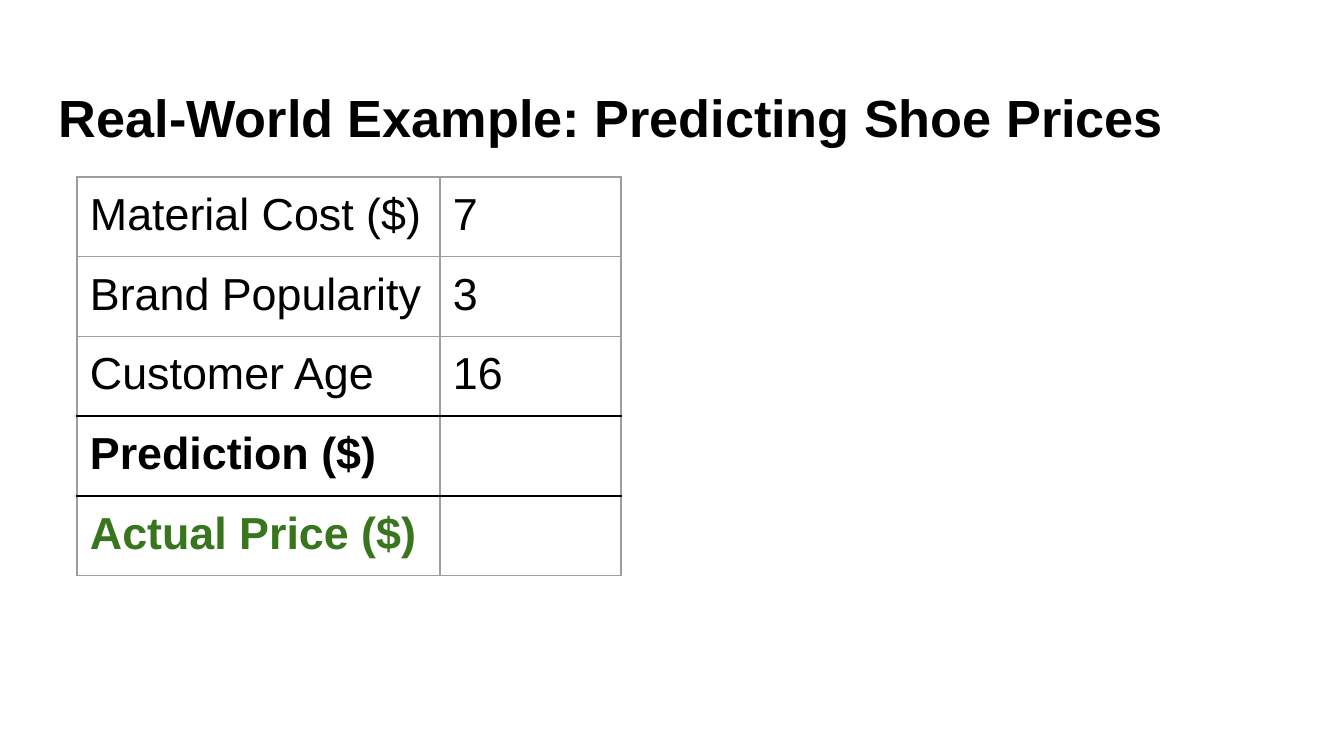
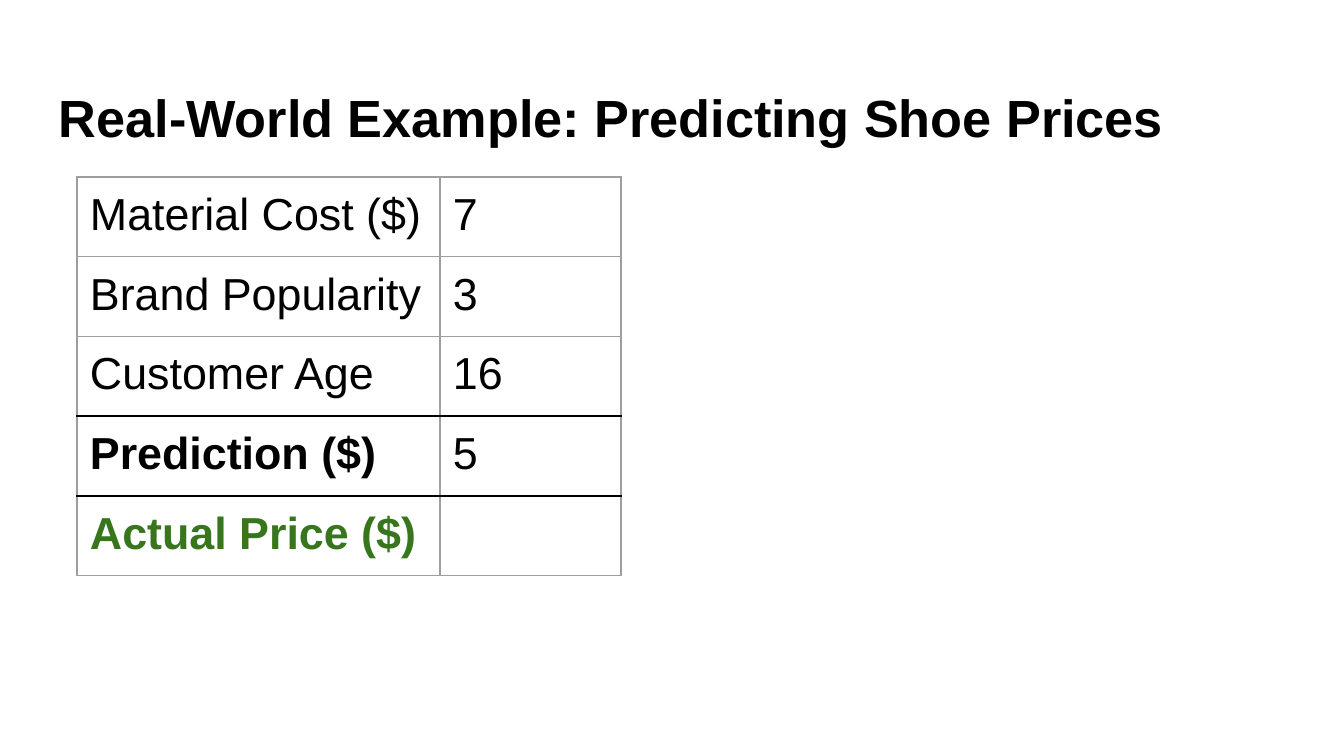
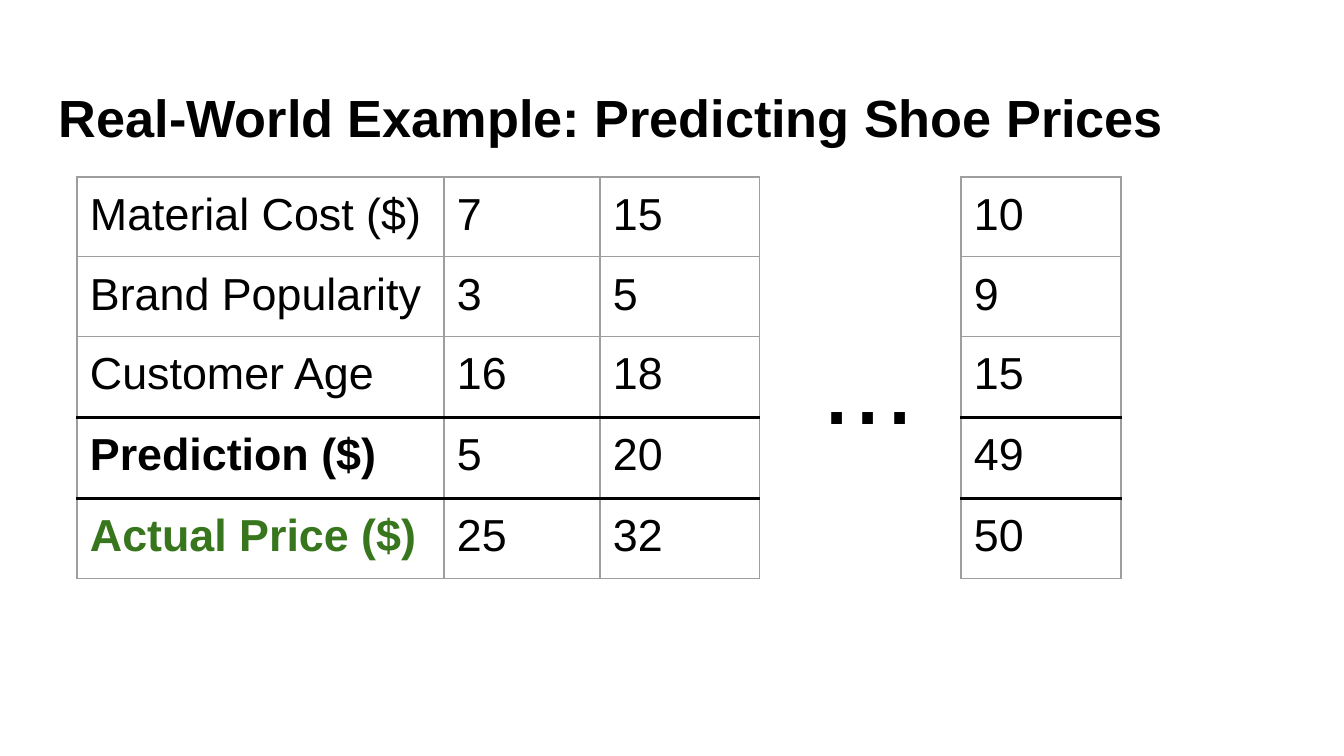
from lxml import etree
from pptx import Presentation
from pptx import util as u
from pptx.dml import color
from pptx.enum import text
from pptx.oxml import ns

SCALE = 914400 / 134.4
FONT = "Arial"
BLACK, GREY, GREEN = "000000", "9E9E9E", "38761D"
MARGIN = 13
TABLE_TOP = 177
TITLE = "Real-World Example: Predicting Shoe Prices"
LABELS = ["Material Cost ($)", "Brand Popularity", "Customer Age",
          "Prediction ($)", "Actual Price ($)"]
LABEL_STYLES = {3: {"bold": True}, 4: {"bold": True, "hue": GREEN}}
RULED_ROWS = (2, 3)


def px(n):
    return u.Emu(round(n * SCALE))


def rgb(value):
    return color.RGBColor.from_string(value)


class Deck:
    def __init__(self, width, height):
        self.prs = Presentation()
        self.prs.slide_width = px(width)
        self.prs.slide_height = px(height)
        self.s = None

    def slide(self):
        self.s = self.prs.slides.add_slide(self.prs.slide_layouts[6])
        self.text(TITLE, 46, 66, 1253, 84, size=28, bold=True, inset=19)

    def style(self, tf, size, bold=False, hue=BLACK):
        for p in tf.paragraphs:
            for r in p.runs:
                r.font.name = FONT
                r.font.size = u.Pt(size)
                r.font.bold = bold
                r.font.color.rgb = rgb(hue)

    def text(self, words, x, y, w, h, size, bold=False, inset=MARGIN):
        sp = self.s.shapes.add_textbox(px(x), px(y), px(w), px(h))
        tf = sp.text_frame
        tf.word_wrap = True
        tf.vertical_anchor = text.MSO_ANCHOR.TOP
        tf.margin_left = tf.margin_right = px(MARGIN)
        tf.margin_top, tf.margin_bottom = px(inset), 0
        tf.text = words
        self.style(tf, size, bold)

    def border(self, cell, side, hue, width):
        tcPr = cell._tc.get_or_add_tcPr()
        ln = etree.SubElement(tcPr, ns.qn(f"a:ln{side}"), w=str(u.Pt(width)))
        fill = etree.SubElement(ln, ns.qn("a:solidFill"))
        etree.SubElement(fill, ns.qn("a:srgbClr"), val=hue)

    def cell(self, cell, words, row, bold=False, hue=BLACK):
        cell.margin_left = cell.margin_right = px(MARGIN)
        cell.margin_top = cell.margin_bottom = px(MARGIN)
        cell.text = words
        self.style(cell.text_frame, 24, bold, hue)
        thin, thick = (GREY, 0.75), (BLACK, 1.5)
        self.border(cell, "L", *thin)
        self.border(cell, "R", *thin)
        self.border(cell, "T", *(thick if row - 1 in RULED_ROWS else thin))
        self.border(cell, "B", *(thick if row in RULED_ROWS else thin))
        cell.fill.background()

    def table(self, x, widths, heights, columns):
        shape = self.s.shapes.add_table(
            len(heights), len(widths), px(x), px(TABLE_TOP),
            px(sum(widths)), px(sum(heights)))
        tbl = shape.table
        tbl.first_row = tbl.horz_banding = False
        for i, h in enumerate(heights):
            tbl.rows[i].height = px(h)
        for j, (w, column) in enumerate(zip(widths, columns)):
            tbl.columns[j].width = px(w)
            for i, words in enumerate(column):
                look = LABEL_STYLES.get(i, {}) if column is LABELS else {}
                self.cell(tbl.cell(i, j), words, i, **look)


def main():
    deck = Deck(1344, 756)
    for prediction in ("", "5"):
        deck.slide()
        deck.table(77, [363, 181], [77] * 5,
                   [LABELS, ["7", "3", "16", prediction, ""]])

    deck.slide()
    heights = [77, 77, 81, 81, 77]
    deck.table(77, [367, 156, 160], heights,
               [LABELS, ["7", "3", "16", "5", "25"],
                ["15", "5", "18", "20", "32"]])
    deck.text("...", 809, 290, 222, 191, size=60, inset=23)
    deck.table(961, [160], heights, [["10", "9", "15", "49", "50"]])
    deck.prs.save("out.pptx")


if __name__ == "__main__":
    main()
